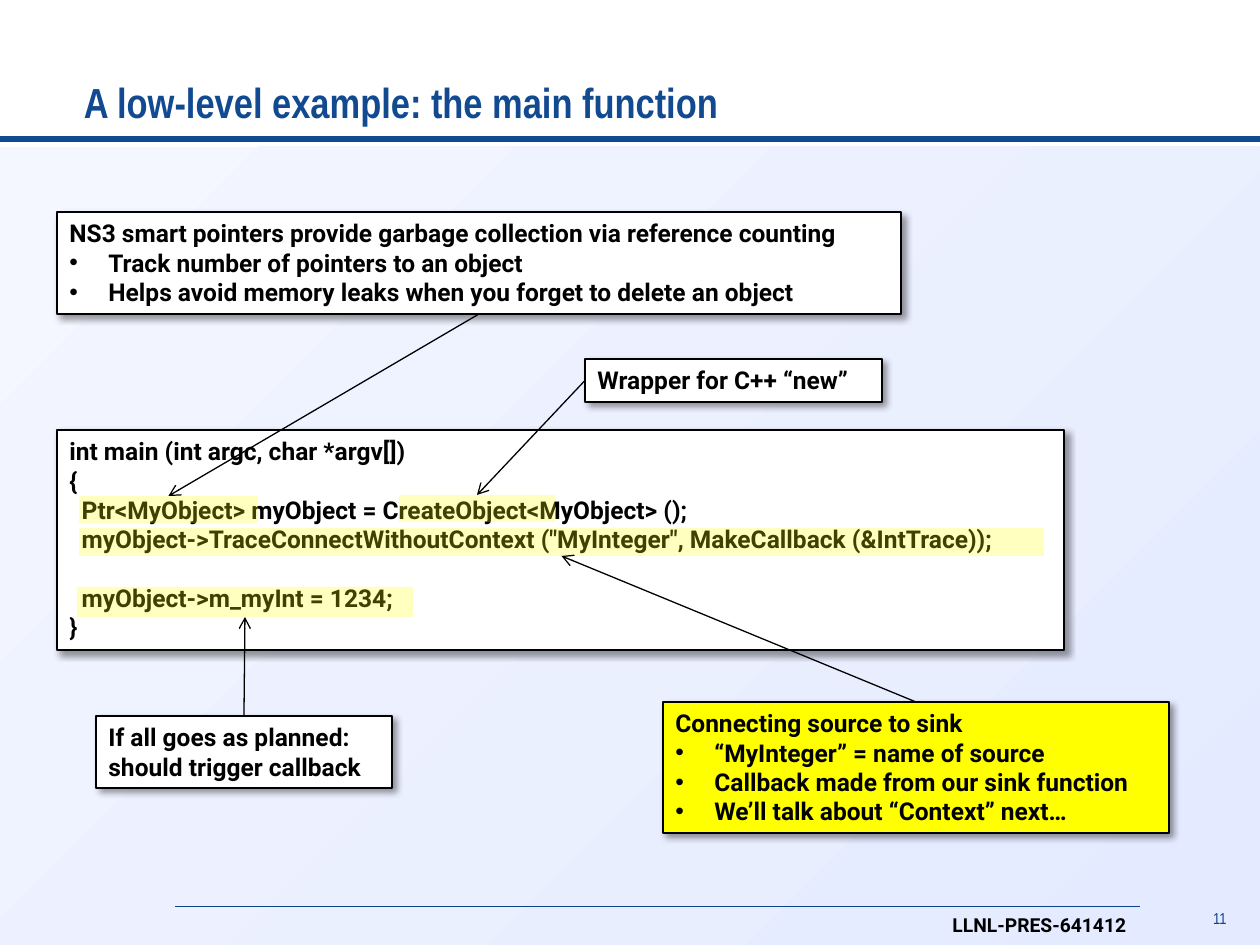
from lxml.etree import SubElement
from pptx import Presentation
from pptx.dml.color import RGBColor
from pptx.enum.shapes import MSO_CONNECTOR as Connector, MSO_SHAPE as Shape
from pptx.enum.text import MSO_ANCHOR as Anchor, PP_ALIGN as Align
from pptx.oxml.ns import qn
from pptx.util import Emu, Pt

COLORS = {
    "navy": "124A91", "blue": "10428C", "black": "000000", "white": "FFFFFF",
    "yellow": "FFFF00", "pale": "F4F7FF", "lilac": "E4EAFF",
}
TOP, LEFT, BOTTOM = 0, 1, 2


def px(length):
    return Emu(round(length * 914400 / 126))


def color(name):
    return RGBColor.from_string(COLORS[name])


class SlideBuilder:
    """Holds the text style and the current slide, and draws each kind of element."""

    body = {"name": "Roboto", "size": Pt(14), "bold": True}

    def __init__(self, page):
        self.page = page

    def rect(self, bounds, fill):
        box = self.page.shapes.add_shape(Shape.RECTANGLE, *map(px, bounds))
        box.shadow.inherit = False
        box.line.fill.background()
        box.fill.solid()
        box.fill.fore_color.rgb = color(fill)
        return box

    def gradient(self, bounds, start, end):
        box = self.rect(bounds, start)
        box.fill.gradient()
        box.fill.gradient_angle = 315
        for stop, name in zip(box.fill.gradient_stops, (start, end)):
            stop.color.rgb = color(name)

    def add_span(self, para, text, ink="black", **style):
        span = para.add_run()
        span.text = text
        for key, value in {**self.body, **style}.items():
            setattr(span.font, key, value)
        span.font.color.rgb = color(ink)

    def label(self, bounds, text, ink, frame, para_format, **style):
        box = self.page.shapes.add_textbox(*map(px, bounds))
        para = box.text_frame.paragraphs[0]
        for target, values in ((box.text_frame, frame), (para, para_format)):
            for key, value in values.items():
                setattr(target, key, value)
        self.add_span(para, text, ink, **style)

    def callout(self, bounds, lines, bullets=(), fill="white", gaps=()):
        box = self.rect(bounds, fill)
        box.line.color.rgb = color("black")
        box.line.width = Pt(0.75)
        self.add_shadow(box)
        frame = box.text_frame
        frame.word_wrap = True
        frame.vertical_anchor = Anchor.TOP
        for index, text in enumerate([*lines, *bullets]):
            para = frame.add_paragraph() if index else frame.paragraphs[0]
            para.alignment = Align.LEFT
            if index in gaps:
                para.space_before = Pt(16.4)
            if index >= len(lines):
                self.add_bullet(para)
            self.add_span(para, text)
        return box

    def add_shadow(self, box):
        effects = box._element.spPr.find(qn("a:effectLst"))
        shadow = SubElement(effects, qn("a:outerShdw"), blurRad=str(Pt(4)),
                            dist=str(Pt(3)), dir="2700000", algn="tl", rotWithShape="0")
        tint = SubElement(shadow, qn("a:srgbClr"), val=COLORS["black"])
        SubElement(tint, qn("a:alpha"), val="40000")

    def add_bullet(self, para):
        props = para._p.get_or_add_pPr()
        props.set("marL", str(px(39)))
        props.set("indent", str(-px(39)))
        SubElement(props, qn("a:buFont"), typeface="Arial")
        SubElement(props, qn("a:buChar"), char="•")

    def highlight(self, bounds):
        box = self.rect(bounds, "yellow")
        tint = box._element.spPr.find(qn("a:solidFill"))[0]
        SubElement(tint, qn("a:alpha"), val="25000")
        return box

    def line(self, start, end, ink, width):
        line = self.page.shapes.add_connector(Connector.STRAIGHT, *map(px, (*start, *end)))
        line.line.color.rgb = color(ink)
        line.line.width = Pt(width)
        SubElement(line._element.spPr, qn("a:effectLst"))
        return line

    def arrow(self, source, source_side, target, target_side):
        arrow = self.line((0, 0), (0, 0), "black", 0.75)
        arrow.begin_connect(source, source_side)
        arrow.end_connect(target, target_side)
        SubElement(arrow.get_or_add_ln(), qn("a:tailEnd"), type="arrow")


def main():
    deck = Presentation()
    deck.slide_width, deck.slide_height = px(1260), px(945)
    build = SlideBuilder(deck.slides.add_slide(deck.slide_layouts[6]))

    build.gradient((0, 147, 1260, 798), "pale", "lilac")
    for left in (0, 630):
        build.rect((left, 136, 630, 6), "navy")
    build.line((175, 906), (1140, 906), "blue", 0.5)
    build.label((1196, 907, 43, 28), "11", "blue", {"word_wrap": True, "margin_left": 0},
                {"alignment": Align.RIGHT, "line_spacing": 0.75},
                name="Arial Narrow", size=Pt(9), bold=False)
    build.label((940, 907, 205, 37), "LLNL-PRES-641412", "black",
                {"word_wrap": False}, {}, size=Pt(11))
    build.label((84, 21, 1095, 112), "A low-level example: the main function", "navy",
                {"word_wrap": True, "margin_left": 0, "vertical_anchor": Anchor.BOTTOM}, {},
                name="Arial Narrow", size=Pt(24))

    build.callout((57, 430, 1007, 220), [
        "int main (int argc, char *argv[])",
        "{",
        "  Ptr<MyObject> myObject = CreateObject<MyObject> ();",
        '  myObject->TraceConnectWithoutContext ("MyInteger", MakeCallback (&IntTrace));',
        "  myObject->m_myInt = 1234;",
        "}",
    ], gaps=(4,))
    pointers = build.callout(
        (57, 212, 844, 102),
        ["NS3 smart pointers provide garbage collection via reference counting"],
        ["Track number of pointers to an object",
         "Helps avoid memory leaks when you forget to delete an object"])
    wrapper = build.callout((585, 359, 297, 43), ["Wrapper for C++ “new”"])
    connecting = build.callout(
        (663, 702, 506, 131), ["Connecting source to sink"],
        ["“MyInteger” = name of source", "Callback made from our sink function",
         "We’ll talk about “Context” next…"], fill="yellow")
    trigger = build.callout((96, 716, 296, 72),
                            ["If all goes as planned: should trigger callback"])

    for source, source_side, bounds, target_side in (
        (pointers, BOTTOM, (79, 496, 179, 27), TOP),
        (wrapper, LEFT, (399, 495, 156, 27), TOP),
        (connecting, TOP, (79, 528, 965, 28), BOTTOM),
        (trigger, TOP, (77, 587, 336, 30), BOTTOM),
    ):
        build.arrow(source, source_side, build.highlight(bounds), target_side)

    deck.save("out.pptx")


if __name__ == "__main__":
    main()
